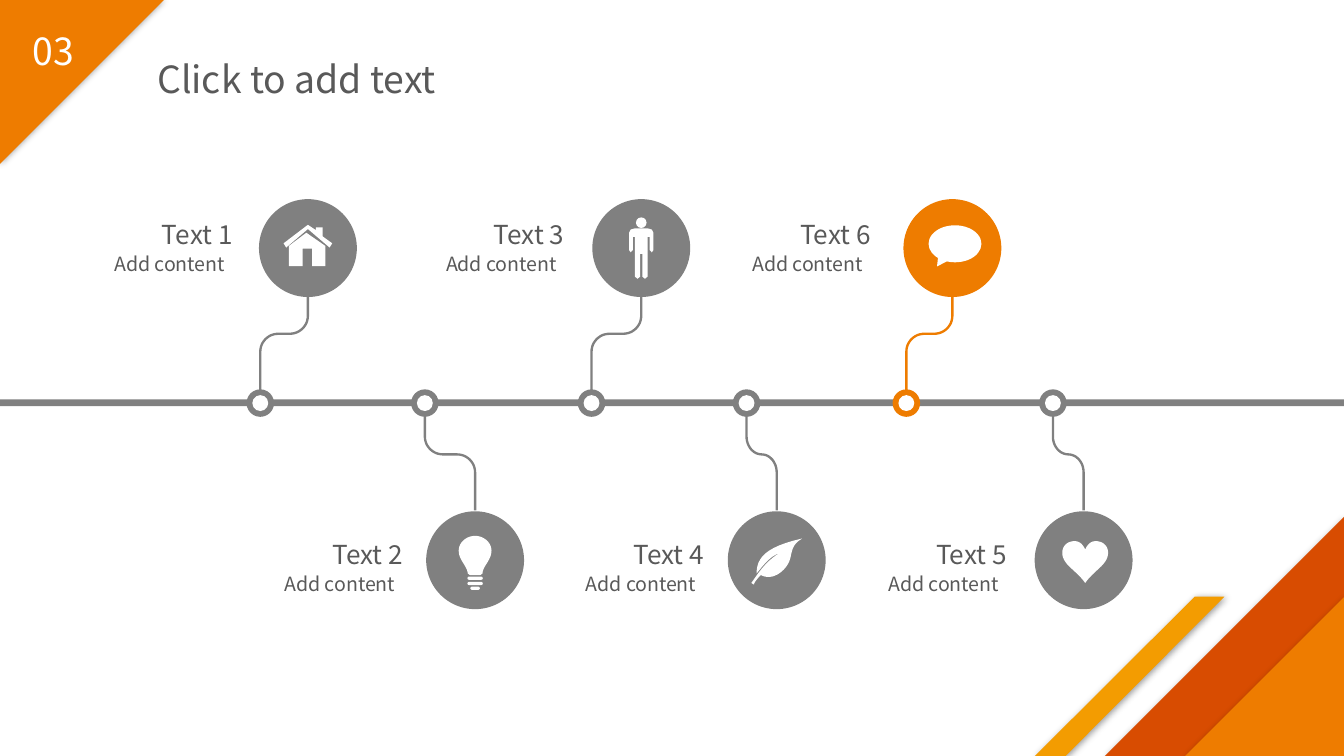
from lxml.etree import SubElement
from pptx import Presentation
from pptx.dml.color import RGBColor
from pptx.enum.shapes import MSO_SHAPE as Preset
from pptx.enum.text import MSO_ANCHOR as Anchor, PP_ALIGN as Align
from pptx.oxml.ns import qn
from pptx.util import Cm, Pt

ORANGE = RGBColor(0xEE, 0x7C, 0x00)
RUST = RGBColor(0xD8, 0x4C, 0x01)
AMBER = RGBColor(0xF3, 0x9C, 0x01)
GRAY = RGBColor(0x80, 0x80, 0x80)
INK = RGBColor(0x59, 0x59, 0x59)
WHITE = RGBColor(0xFF, 0xFF, 0xFF)

FONT = "Noto Sans CJK SC"
WIDTH, HEIGHT = 25.4, 14.29
AXIS_Y = 7.62
UPPER_Y, LOWER_Y = 4.69, 10.59
BADGE = 1.85


def write(frame, text, size=20, color=INK, align=Align.CENTER, wrap=True, spacing=None):
    frame.word_wrap = wrap
    frame.vertical_anchor = Anchor.TOP
    frame.text = text
    paragraph = frame.paragraphs[0]
    paragraph.alignment = align
    paragraph.line_spacing = spacing
    font = paragraph.runs[0].font
    font.name, font.size, font.color.rgb = FONT, Pt(size), color


def label(slide, box, text, **style):
    write(slide.shapes.add_textbox(*map(Cm, box)).text_frame, text, **style)


def paint(shape, color):
    shape.shadow.inherit = False
    shape.fill.solid()
    shape.fill.fore_color.rgb = color
    shape.line.fill.background()
    return shape


def solid(slide, preset, box, color):
    return paint(slide.shapes.add_shape(preset, *map(Cm, box)), color)


def disc(slide, x, y, diameter, color):
    solid(slide, Preset.OVAL, (x - diameter / 2, y - diameter / 2, diameter, diameter), color)


def flatten(steps, pieces=12):
    """Turn steps of 2 numbers (line) or 6 numbers (Bezier curve) into points."""
    points = [steps[0]]
    for step in steps[1:]:
        if len(step) == 2:
            points.append(step)
            continue
        start, c1, c2, end = points[-1], step[:2], step[2:4], step[4:]
        for i in range(1, pieces + 1):
            t = i / pieces
            u = 1 - t
            points.append(tuple(
                u**3 * a + 3 * u * u * t * b + 3 * u * t * t * c + t**3 * d
                for a, b, c, d in zip(start, c1, c2, end)))
    return points


def outline(slide, steps, x=0, y=0, close=True):
    points = [(Cm(x + px), Cm(y + py)) for px, py in flatten(steps)]
    builder = slide.shapes.build_freeform(*points[0], scale=1.0)
    builder.add_line_segments(points[1:], close=close)
    return builder.convert_to_shape()


def cast_shadow(shape, distance):
    shadow = SubElement(shape._element.spPr.find(qn("a:effectLst")), qn("a:outerShdw"),
                        blurRad=str(Pt(4)), dist=str(Pt(distance)),
                        dir="2700000", algn="tl", rotWithShape="0")
    color = SubElement(shadow, qn("a:srgbClr"), val="000000")
    SubElement(color, qn("a:alpha"), val="40000")


def corners(slide):
    top = solid(slide, Preset.RIGHT_TRIANGLE, (0, 0, 3.1, 3.1), ORANGE)
    top.rotation = 90
    cast_shadow(top, 0)
    for side, color in ((4.52, RUST), (3.0, ORANGE)):
        triangle = solid(slide, Preset.RIGHT_TRIANGLE,
                         (WIDTH - side, HEIGHT - side, side, side), color)
        triangle.rotation = 270
        cast_shadow(triangle, 1)
    stripe = outline(slide, [(23.14, 11.28), (22.58, 11.28), (19.56, HEIGHT), (20.14, HEIGHT)])
    cast_shadow(paint(stripe, AMBER), 1)


def stem(slide, node_x, badge_x, above, color):
    """Draw the S-shaped link from the axis to a badge."""
    side = -1 if above else 1
    start, bend, end = (AXIS_Y + side * d for d in (0.23, 0.97, 2.03))
    if above:
        bend = 6.31
    r = min(0.34, (badge_x - node_x) / 2)
    rise = side * 0.34
    link = outline(slide, [
        (node_x, start), (node_x, bend - rise),
        (node_x, bend - rise * 0.45, node_x + r * 0.45, bend, node_x + r, bend),
        (badge_x - r, bend),
        (badge_x - r * 0.45, bend, badge_x, bend + rise * 0.45, badge_x, bend + rise),
        (badge_x, end)], close=False)
    link.shadow.inherit = False
    link.fill.background()
    link.line.color.rgb = color
    link.line.width = Pt(1.25)


def house(slide, x, y):
    walls = [(-0.03, -0.29), (-0.36, -0.04), (-0.36, 0.34), (-0.1, 0.34), (-0.1, 0.01),
             (0.08, 0.01), (0.08, 0.34), (0.33, 0.34), (0.33, -0.04)]
    roof = [(0.28, -0.22), (0.28, -0.39), (0.15, -0.39), (0.15, -0.34), (0, -0.44),
            (-0.46, -0.09), (-0.41, -0.01), (0, -0.36), (0.41, -0.01), (0.46, -0.09)]
    for part in (walls, roof):
        paint(outline(slide, part, x, y), WHITE)


def person(slide, x, y):
    half = [(0.13, -0.37), (0.2, -0.35), (0.23, -0.29), (0.23, 0.04), (0.2, 0.08),
            (0.16, 0.04), (0.16, -0.21), (0.12, -0.21), (0.12, 0.54), (0.07, 0.58),
            (0.02, 0.54), (0.02, 0.11)]
    paint(outline(slide, half + [(-px, py) for px, py in reversed(half)], x, y), WHITE)
    disc(slide, x, y - 0.48, 0.2, WHITE)


def bubble(slide, x, y):
    balloon = solid(slide, Preset.OVAL_CALLOUT, (x - 0.45, y - 0.43, 1, 0.7), WHITE)
    balloon.adjustments[0], balloon.adjustments[1] = -0.34, 0.61


def bulb(slide, x, y):
    glass = [(0.31, -0.18), (0.31, -0.33, 0.17, -0.46, 0, -0.46),
             (-0.17, -0.46, -0.31, -0.33, -0.31, -0.18),
             (-0.31, 0, -0.14, 0.12, -0.14, 0.25), (-0.1, 0.28), (0.1, 0.28),
             (0.14, 0.25), (0.14, 0.12, 0.31, 0, 0.31, -0.18)]
    paint(outline(slide, glass, x, y), WHITE)
    for top, width in ((0.31, 0.29), (0.41, 0.29), (0.5, 0.18)):
        ring = solid(slide, Preset.ROUNDED_RECTANGLE, (x - width / 2, y + top, width, 0.06), WHITE)
        ring.adjustments[0] = 0.5


def leaf(slide, x, y):
    blade = [(-0.48, 0.43), (-0.43, 0.46), (-0.43, 0.41, -0.3, 0.28, -0.3, 0.28),
             (-0.3, 0.28, -0.1, 0.41, 0.13, 0.18), (0.36, -0.05, 0.18, -0.23, 0.48, -0.41),
             (-0.23, -0.25, -0.38, -0.03, -0.38, 0.25),
             (-0.28, 0.13, -0.13, -0.08, 0.05, -0.13), (-0.23, 0.03, -0.38, 0.3, -0.48, 0.43)]
    paint(outline(slide, blade, x, y), WHITE)


def heart(slide, x, y):
    lobes = [(0, -0.2), (-0.05, -0.31, -0.11, -0.36, -0.2, -0.36),
             (-0.37, -0.36, -0.45, -0.23, -0.43, -0.1), (-0.4, 0.1, -0.16, 0.2, 0, 0.43),
             (0.16, 0.2, 0.4, 0.1, 0.43, -0.1), (0.45, -0.23, 0.37, -0.36, 0.2, -0.36),
             (0.11, -0.36, 0.05, -0.31, 0, -0.2)]
    paint(outline(slide, lobes, x + 0.03, y), WHITE)


def milestone(slide, name, node_x, badge_x, text_x, above, icon, color=GRAY):
    badge_y = UPPER_Y if above else LOWER_Y
    text_y = badge_y - (0.14 if above else 0)
    disc(slide, node_x, AXIS_Y, 0.52, color)
    disc(slide, node_x, AXIS_Y, 0.3, WHITE)
    stem(slide, node_x, badge_x, above, color)
    label(slide, (text_x, text_y, 3.35, 0.79), "Add content",
          size=10.5, align=Align.JUSTIFY, spacing=1.2)
    label(slide, (text_x + 0.87, text_y - 0.54, 1.9, 0.86), name, size=14, wrap=False)
    disc(slide, badge_x, badge_y, BADGE, color)
    icon(slide, badge_x, badge_y)


def main():
    deck = Presentation()
    deck.slide_width, deck.slide_height = Cm(WIDTH), Cm(HEIGHT)
    slide = deck.slides.add_slide(deck.slide_layouts[5])
    corners(slide)

    title = slide.shapes.title
    title.left, title.top, title.width, title.height = map(Cm, (1.7, 0.94, 7.82, 1.12))
    write(title.text_frame, "Click to add text")
    label(slide, (0.23, 0.41, 1.55, 1.12), "03", color=WHITE)

    solid(slide, Preset.RECTANGLE, (0, AXIS_Y - 0.07, WIDTH, 0.13), GRAY)
    milestone(slide, "Text 1", 4.92, 5.82, 1.91, True, house)
    milestone(slide, "Text 2", 8.03, 8.98, 5.13, False, bulb)
    milestone(slide, "Text 3", 11.18, 12.12, 8.18, True, person)
    milestone(slide, "Text 4", 14.11, 14.68, 10.82, False, leaf)
    milestone(slide, "Text 6", 17.13, 18, 13.97, True, bubble, ORANGE)
    milestone(slide, "Text 5", 19.9, 20.48, 16.54, False, heart)
    deck.save("out.pptx")


if __name__ == "__main__":
    main()
